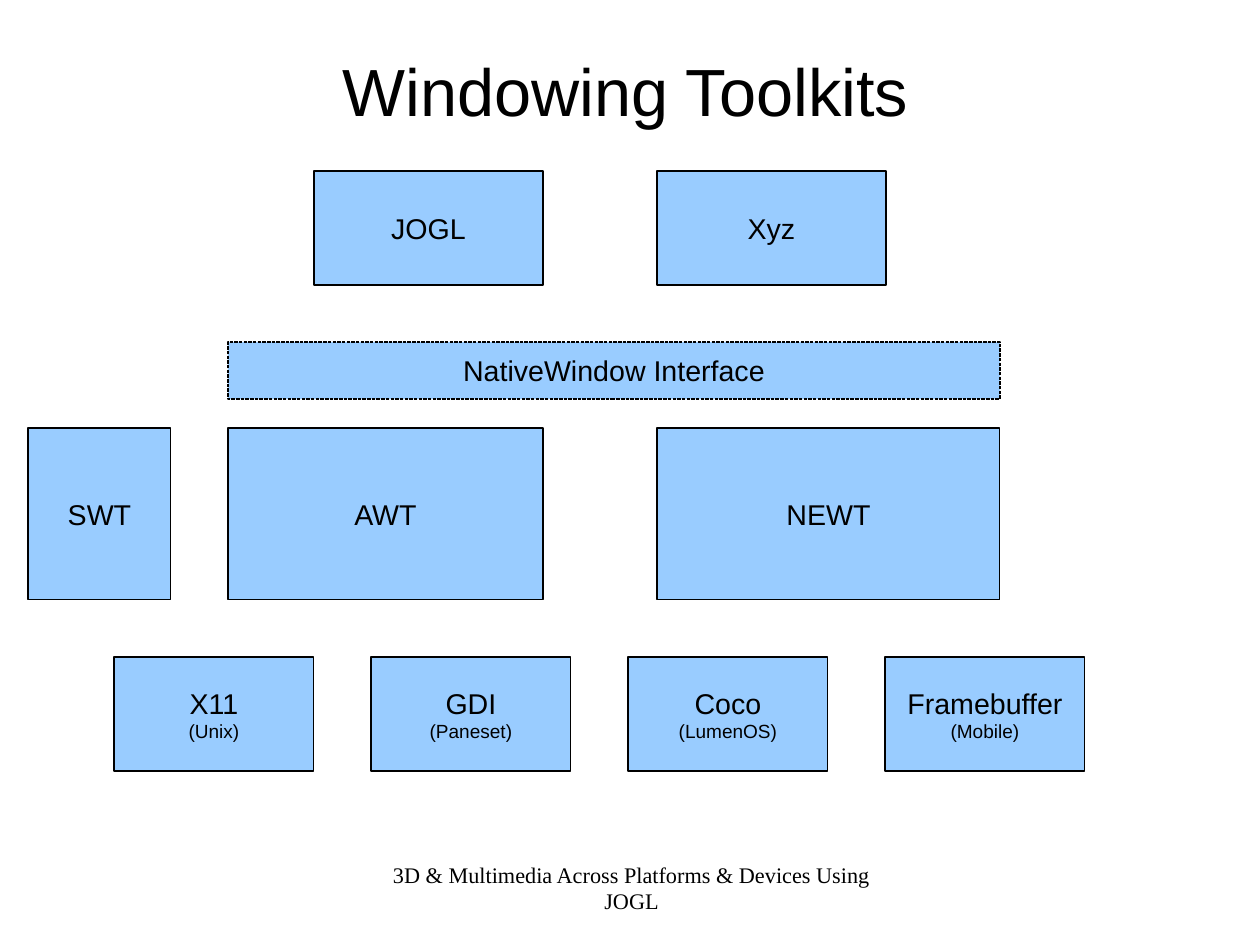
"""Build the Windowing Toolkits slide: a layered diagram of toolkit boxes."""
from pptx import Presentation
from pptx.dml.color import RGBColor
from pptx.enum.dml import MSO_LINE
from pptx.enum.shapes import MSO_SHAPE
from pptx.enum.text import MSO_ANCHOR, MSO_AUTO_SIZE, PP_ALIGN
from pptx.util import Pt

RECT = MSO_SHAPE.RECTANGLE
DASH = MSO_LINE.SQUARE_DOT
CENTER = PP_ALIGN.CENTER
MIDDLE = MSO_ANCHOR.MIDDLE
TOP = MSO_ANCHOR.TOP
FIXED = MSO_AUTO_SIZE.NONE

BLACK = RGBColor(0, 0, 0)
BLUE = RGBColor(0x99, 0xCC, 0xFF)

SCALE = 8000
SANS, SERIF = "Arial", "Times New Roman"
FLAT = {"margin_left": 0, "margin_right": 0, "margin_top": 0, "margin_bottom": 0}
INNER = {"margin_left": 11 * SCALE, "margin_right": 11 * SCALE,
         "margin_top": 6 * SCALE, "margin_bottom": 6 * SCALE}

TOOLS = [
    ("AWT", 228, 428, 315, 172),
    ("NEWT", 657, 428, 343, 172),
    ("JOGL", 314, 171, 229, 114),
    ("Xyz", 657, 171, 229, 114),
    ("SWT", 28, 428, 143, 172),
]
SYSTEMS = [("X11", "(Unix)"), ("GDI", "(Paneset)"),
           ("Coco", "(LumenOS)"), ("Framebuffer", "(Mobile)")]
LEFT, STEP = 114, 257


def emu(*px):
    """Turn px lengths into EMU."""
    return [n * SCALE for n in px]


def apply(item, form):
    """Set each attribute in a dict of format values."""
    for name, value in form.items():
        setattr(item, name, value)


def write(shape, lines, face, inset, anchor=MIDDLE):
    """Fill a shape with centred lines of (text, size)."""
    frame = shape.text_frame
    apply(frame, {"word_wrap": True, "auto_size": FIXED,
                  "vertical_anchor": anchor, **inset})
    for i, (text, size) in enumerate(lines):
        para = frame.paragraphs[0] if i == 0 else frame.add_paragraph()
        para.alignment = CENTER
        run = para.add_run()
        run.text = text
        apply(run.font, {"name": face, "size": Pt(size)})
        run.font.color.rgb = BLACK


def title(slide, text, *area):
    """Place and format the slide title."""
    shape = slide.shapes.title
    apply(shape, dict(zip(("left", "top", "width", "height"), emu(*area))))
    write(shape, [(text, 42)], SANS, FLAT)


def box(slide, lines, *area):
    """Add a blue box with a hairline border and a label."""
    shape = slide.shapes.add_shape(RECT, *emu(*area))
    shape.shadow.inherit = False
    shape.fill.solid()
    shape.fill.fore_color.rgb = BLUE
    shape.line.color.rgb = BLACK
    shape.line.width = Pt(0)
    write(shape, lines, SANS, INNER)
    return shape


def footer(slide, text, *area):
    """Add the talk name at the foot of the slide."""
    shape = slide.shapes.add_textbox(*emu(*area))
    write(shape, [(text, 14)], SERIF, FLAT, TOP)


def main():
    """Build and save the slide."""
    deck = Presentation()
    deck.slide_width, deck.slide_height = emu(1260, 945)
    slide = deck.slides.add_slide(deck.slide_layouts[5])
    title(slide, "Windowing Toolkits", 51, 43, 1149, 93)
    for name, *area in TOOLS:
        box(slide, [(name, 18)], *area)
    for i, (name, host) in enumerate(SYSTEMS):
        box(slide, [(name, 18), (host, 12)], LEFT + i * STEP, 657, 200, 114)
    layer = box(slide, [("NativeWindow Interface", 18)], 228, 342, 772, 57)
    layer.line.dash_style = DASH
    footer(slide, "3D & Multimedia Across Platforms & Devices Using JOGL",
           377, 861, 509, 65)
    deck.save("out.pptx")


if __name__ == "__main__":
    main()
